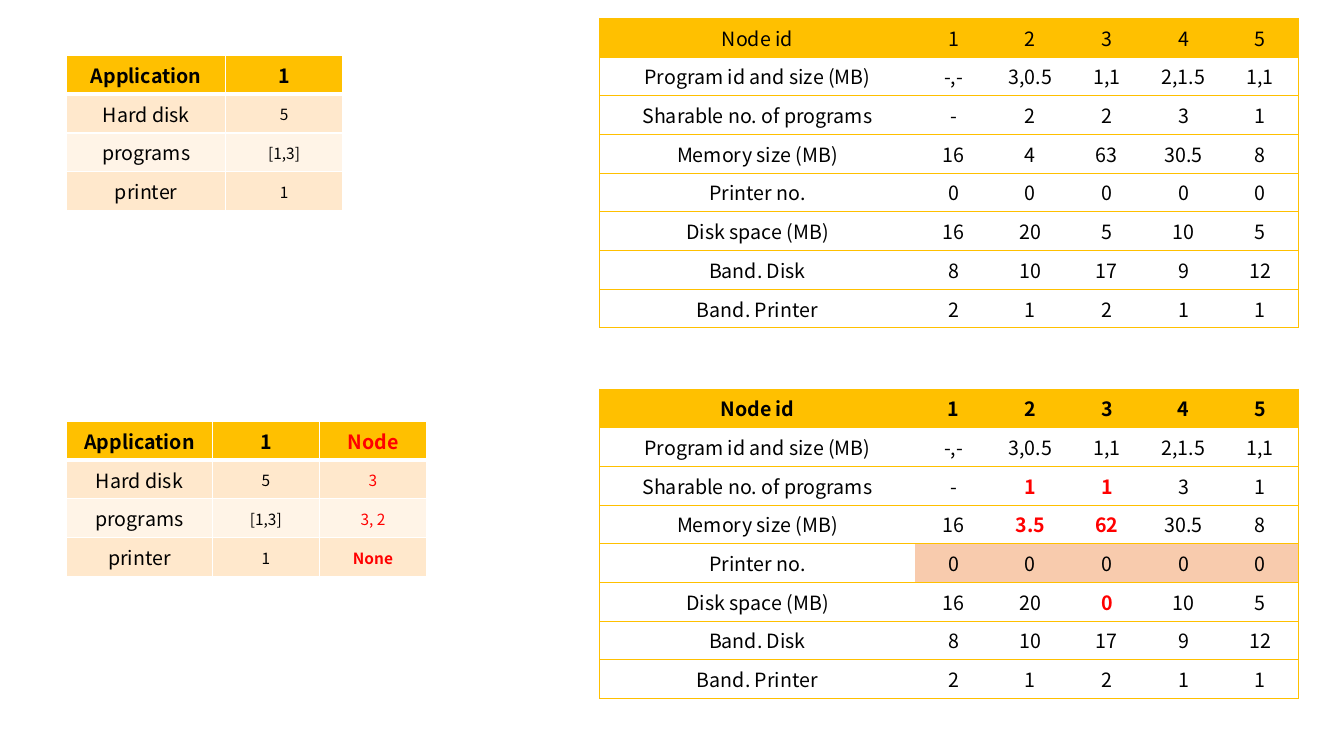
import pptx
import pptx.util
import pptx.dml.color
import pptx.enum.text
import lxml.etree

Cm = pptx.util.Cm
RGBColor = pptx.dml.color.RGBColor
MSO_ANCHOR = pptx.enum.text.MSO_ANCHOR

FONT = "Noto Sans CJK JP"
BLACK = RGBColor(0x00, 0x00, 0x00)
WHITE = RGBColor(0xFF, 0xFF, 0xFF)
RED = RGBColor(0xFF, 0x00, 0x00)
GOLD = RGBColor(0xFF, 0xC0, 0x00)
CREAM = RGBColor(0xFF, 0xE8, 0xCC)
PALE_CREAM = RGBColor(0xFF, 0xF4, 0xE7)
PEACH = RGBColor(0xF8, 0xCB, 0xAD)

REQUEST = [
    ["Application", "1"],
    ["Hard disk", "5"],
    ["programs", "[1,3]"],
    ["printer", "1"],
]
ASSIGNED_NODES = ["Node", "3", "3, 2", "None"]
ALLOCATION = [row + [node] for row, node in zip(REQUEST, ASSIGNED_NODES)]

NODES_BEFORE = [
    ["Node id", "1", "2", "3", "4", "5"],
    ["Program id and size (MB)", "-,-", "3,0.5", "1,1", "2,1.5", "1,1"],
    ["Sharable no. of programs", "-", "2", "2", "3", "1"],
    ["Memory size (MB)", "16", "4", "63", "30.5", "8"],
    ["Printer no.", "0", "0", "0", "0", "0"],
    ["Disk space (MB)", "16", "20", "5", "10", "5"],
    ["Band. Disk", "8", "10", "17", "9", "12"],
    ["Band. Printer", "2", "1", "2", "1", "1"],
]
NODE_CHANGES = {(2, 2): "1", (2, 3): "1", (3, 2): "3.5", (3, 3): "62", (5, 3): "0"}
NODES_AFTER = [
    [NODE_CHANGES.get((i, j), value) for j, value in enumerate(row)]
    for i, row in enumerate(NODES_BEFORE)
]
PRINTER_ROW = 4

APPLICATION_LEFT, NODES_LEFT = 1.68, 15.11
APPLICATION_ROW, NODES_ROW = 0.91, 0.93
NODE_COLUMNS = [7.96] + [1.93] * 5


def write_text(cell, text, size=14, color=BLACK, bold=False):
    paragraph = cell.text_frame.paragraphs[0]
    paragraph.alignment = pptx.enum.text.PP_ALIGN.CENTER
    run = paragraph.add_run()
    run.text = text
    run.font.name = FONT
    run.font.size = pptx.util.Pt(size)
    run.font.color.rgb = color
    run.font.bold = bold


def set_borders(cell, color, widths):
    properties = cell._tc.get_or_add_tcPr()
    for side in "LRTB":
        width = widths.get(side, 0)
        line = lxml.etree.SubElement(properties, pptx.oxml.ns.qn(f"a:ln{side}"))
        line.set("w", str(pptx.util.Pt(width)))
        if width:
            fill = lxml.etree.SubElement(line, pptx.oxml.ns.qn("a:solidFill"))
            lxml.etree.SubElement(fill, pptx.oxml.ns.qn("a:srgbClr")).set("val", str(color))
        else:
            lxml.etree.SubElement(line, pptx.oxml.ns.qn("a:noFill"))


def set_fill(cell, color):
    if color is None:
        cell.fill.background()
    else:
        cell.fill.solid()
        cell.fill.fore_color.rgb = color


def add_grid(slide, rows, left, top, columns, row_height):
    frame = slide.shapes.add_table(
        len(rows), len(columns), Cm(left), Cm(top),
        Cm(sum(columns)), Cm(row_height * len(rows)),
    )
    table = frame.table
    table.first_row = table.horz_banding = False
    for column, width in zip(table.columns, columns):
        column.width = Cm(width)
    for row in table.rows:
        row.height = Cm(row_height)
    return table


def add_application_table(slide, rows, top, columns):
    table = add_grid(slide, rows, APPLICATION_LEFT, top, columns, APPLICATION_ROW)
    for i, row in enumerate(rows):
        for j, text in enumerate(row):
            cell = table.cell(i, j)
            cell.vertical_anchor = MSO_ANCHOR.MIDDLE
            is_value = i > 0 and j > 0
            if is_value:
                cell.margin_left = cell.margin_right = cell.margin_top = Cm(0.03)
                cell.margin_bottom = 0
            set_borders(cell, WHITE, {
                "L": 1, "R": 1, "T": 3 if i == 1 else 1, "B": 3 if i == 0 else 1,
            })
            set_fill(cell, GOLD if i == 0 else CREAM if i % 2 else PALE_CREAM)
            write_text(cell, text, size=11 if is_value else 14,
                       color=RED if j == 2 else BLACK, bold=i == 0 or text == "None")


def add_node_table(slide, rows, top, changes=(), bold_header=False, shaded_row=None):
    table = add_grid(slide, rows, NODES_LEFT, top, NODE_COLUMNS, NODES_ROW)
    for i, row in enumerate(rows):
        for j, text in enumerate(row):
            cell = table.cell(i, j)
            set_borders(cell, GOLD, {
                "L": 0.5 if j == 0 else 0,
                "R": 0.5 if j == len(row) - 1 else 0,
                "T": 0.5, "B": 0.5,
            })
            shaded = i == shaded_row and j > 0
            set_fill(cell, GOLD if i == 0 else PEACH if shaded else None)
            changed = (i, j) in changes
            write_text(cell, text, color=RED if changed else BLACK,
                       bold=changed or (i == 0 and bold_header))


def main():
    presentation = pptx.Presentation()
    presentation.slide_width = Cm(33.87)
    presentation.slide_height = Cm(19.05)
    slide = presentation.slides.add_slide(presentation.slide_layouts[6])
    add_application_table(slide, REQUEST, 1.4, [4.01, 2.94])
    add_node_table(slide, NODES_BEFORE, 0.46)
    add_application_table(slide, ALLOCATION, 10.62, [3.67, 2.7, 2.7])
    add_node_table(slide, NODES_AFTER, 9.8, changes=NODE_CHANGES,
                   bold_header=True, shaded_row=PRINTER_ROW)
    presentation.save("out.pptx")


if __name__ == "__main__":
    main()
